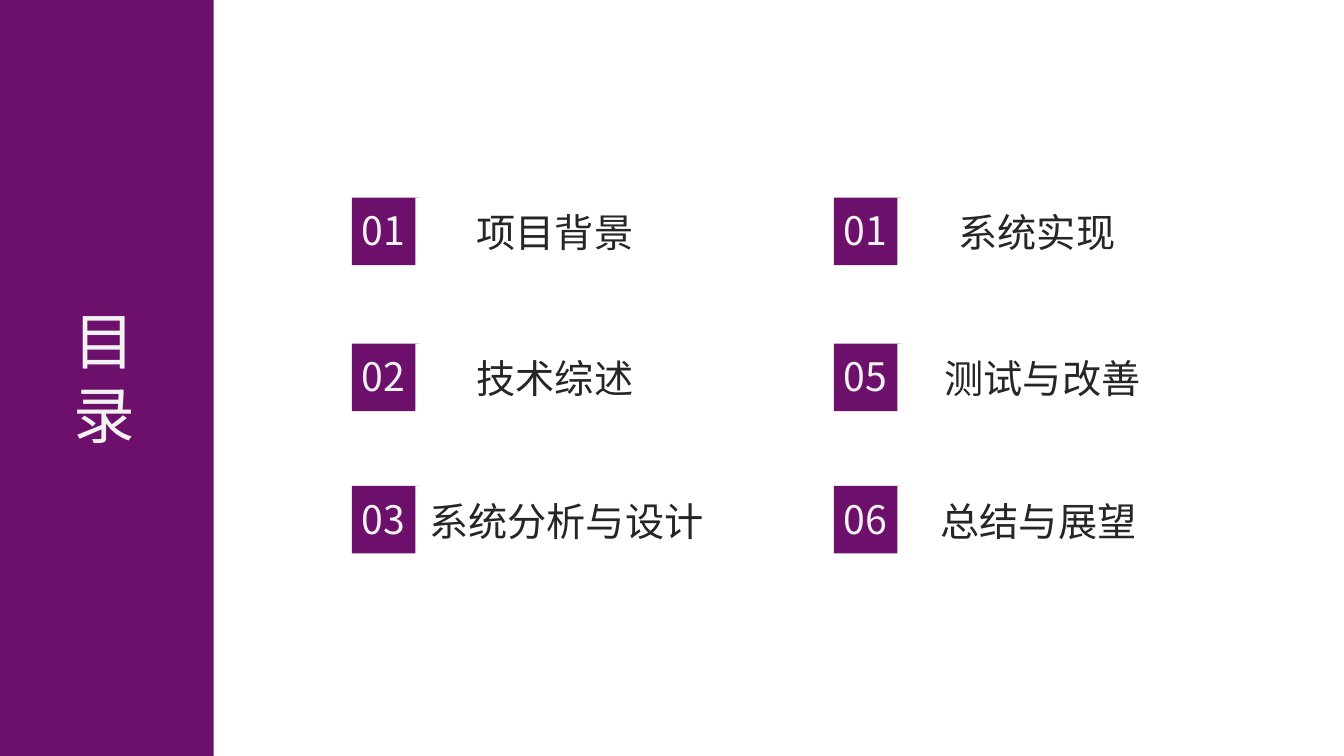
from lxml.etree import SubElement
from pptx import Presentation
from pptx.dml.color import RGBColor
from pptx.enum.shapes import MSO_SHAPE
from pptx.enum.text import MSO_AUTO_SIZE
from pptx.oxml.ns import qn
from pptx.util import Inches, Pt

FONT = "Noto Sans CJK SC"
COLORS = {"purple": "6C106B", "white": "FFFFFF", "light": "F2F2F2", "dark": "262626"}

SIDEBAR_WIDTH = 2.12
COLUMNS = (3.49, 8.27)
ROWS = (1.96, 3.41, 4.82)
TILE = 0.67
PANEL_OFFSET = 0.63
NARROW, WIDE = 2.56, 3.01

# Each column: number, label, label offset from the tile, label width, label indent
CONTENTS = (
    (
        ("01", "项目背景", 1.14, NARROW, 0.1),
        ("02", "技术综述", 1.14, NARROW, 0.1),
        ("03", "系统分析与设计", 0.67, WIDE, 0.1),
    ),
    (
        ("01", "系统实现", 1.14, NARROW, 0.1),
        ("05", "测试与改善", 1.0, NARROW, 0.1),
        ("06", "总结与展望", 0.69, WIDE, 0.37),
    ),
)


def add_rectangle(page, left, top, width, height, color):
    shape = page.shapes.add_shape(
        MSO_SHAPE.RECTANGLE, Inches(left), Inches(top), Inches(width), Inches(height)
    )
    shape.shadow.inherit = False
    shape.fill.solid()
    shape.fill.fore_color.rgb = RGBColor.from_string(COLORS[color])
    shape.line.fill.background()


def style_paragraph(para, size, color):
    """Set the font for Latin and East Asian characters alike."""
    para.font.size = Pt(size)
    para.font.name = FONT
    para.font.color.rgb = RGBColor.from_string(COLORS[color])
    properties = para._p.get_or_add_pPr().find(qn("a:defRPr"))
    SubElement(properties, qn("a:ea")).set("typeface", FONT)


def add_text(page, left, top, width, height, lines, size, color, wrap=True, indent=0.1):
    box = page.shapes.add_textbox(
        Inches(left), Inches(top), Inches(width), Inches(height)
    )
    frame = box.text_frame
    frame.word_wrap = wrap
    frame.auto_size = MSO_AUTO_SIZE.SHAPE_TO_FIT_TEXT
    frame.margin_left = Inches(indent)
    frame.text = "\n".join(lines)
    for para in frame.paragraphs:
        style_paragraph(para, size, color)


def add_entry(page, left, top, number, label, offset, width, indent):
    add_rectangle(page, left, top, TILE, TILE, "purple")
    add_text(page, left, top + 0.04, 0.69, 0.57, [number], 28, "light")
    add_rectangle(page, left + PANEL_OFFSET, top, 2.91, 0.7, "white")
    add_text(page, left + offset, top + 0.06, width, 0.57, [label], 28, "dark",
             indent=indent)


def main():
    deck = Presentation()
    deck.slide_width, deck.slide_height = Inches(13.33), Inches(7.5)
    page = deck.slides.add_slide(deck.slide_layouts[6])

    add_rectangle(page, 0, 0, SIDEBAR_WIDTH, 7.5, "purple")
    add_text(page, 0.63, 2.96, 0.82, 1.58, ["目", "录"], 44, "light", wrap=False)
    for left, entries in zip(COLUMNS, CONTENTS):
        for top, entry in zip(ROWS, entries):
            add_entry(page, left, top, *entry)

    deck.save("out.pptx")


if __name__ == "__main__":
    main()
